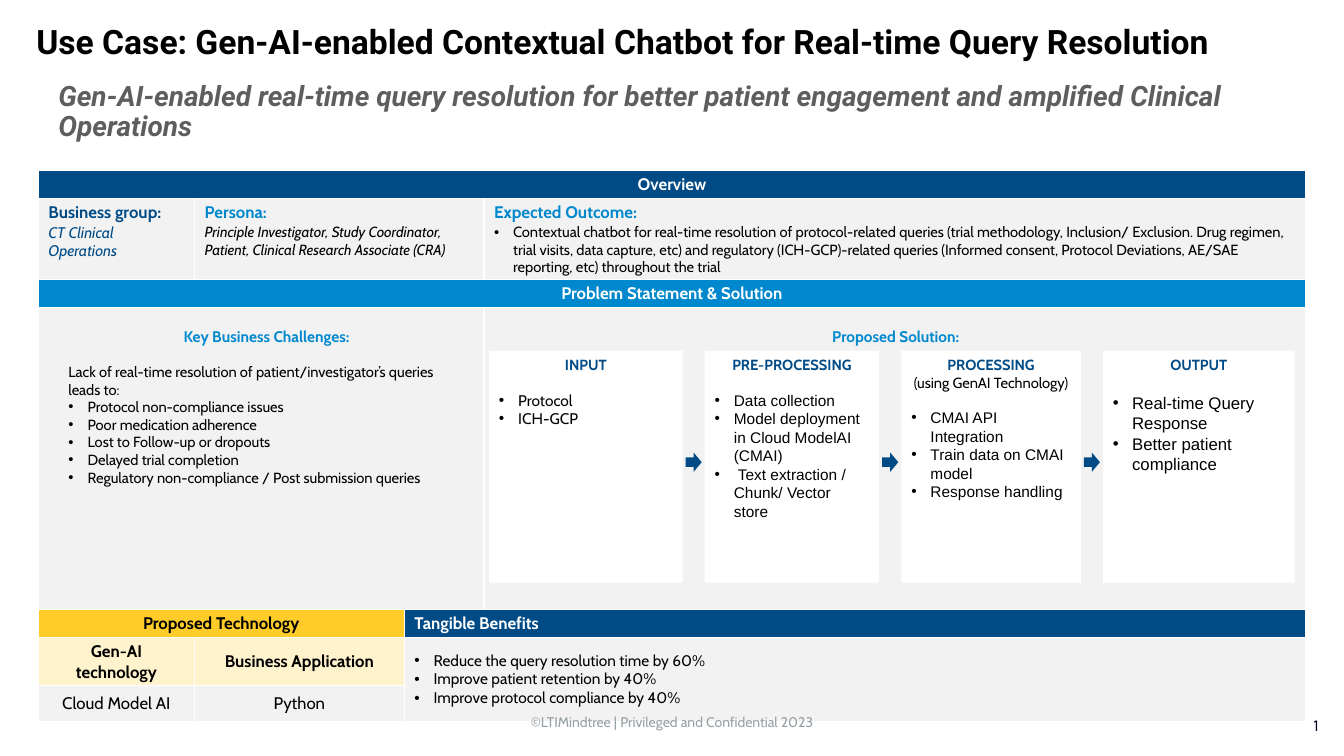
from dataclasses import dataclass

from lxml import etree
from pptx import Presentation
from pptx.dml.color import RGBColor
from pptx.enum import shapes, text
from pptx.oxml import ns
from pptx.util import Inches, Pt

CENTER, RIGHT = text.PP_ALIGN.CENTER, text.PP_ALIGN.RIGHT


@dataclass(frozen=True)
class Box:
    left: float
    top: float
    width: float
    height: float

    def lengths(self):
        return [Inches(n) for n in (self.left, self.top, self.width, self.height)]


@dataclass(frozen=True)
class Style:
    size: float
    color: str = "000000"
    bold: bool = False
    italic: bool = False
    font: str = "Cabin"


class Theme:
    navy, blue, white, gray = "004B86", "0088CE", "FFFFFF", "F2F2F2"
    yellow, cream = "FFCC2A", "FFF3CD"
    title = Style(24, bold=True, font="Roboto")
    subtitle = Style(20, "5E5E5E", True, True, "Roboto")
    banner = Style(12, white, True)
    label = Style(12, bold=True)
    navy_label = Style(12, navy, True)
    blue_label = Style(12, blue, True)
    group = Style(11, navy, italic=True)
    persona = Style(10.5, italic=True)
    section = Style(11, blue, True)
    step = Style(10.5, navy, True)
    body = Style(10.5)
    item = Style(11)
    step_item = Style(11, font="Arial")
    output_item = Style(12, font="Arial")
    value = Style(12)
    footer = Style(10, "97A0A4")
    number = Style(12, "00001E", font="Karla")


def format_font(font, style):
    font.name, font.size = style.font, Pt(style.size)
    font.bold, font.italic = style.bold, style.italic
    font.color.rgb = RGBColor.from_string(style.color)


def add_para(frame, words, style, align=None, bullet=False, before=0, spacing=None):
    """Fill the first paragraph if it is free, otherwise append one."""
    para = frame.paragraphs[0]
    if para.runs:
        para = frame.add_paragraph()
    if bullet:
        props = para._p.get_or_add_pPr()
        props.set("marL", str(Inches(0.19)))
        props.set("indent", str(-Inches(0.19)))
        etree.SubElement(props, ns.qn("a:buFont")).set("typeface", "Arial")
        etree.SubElement(props, ns.qn("a:buChar")).set("char", "•")
    if align is not None:
        para.alignment = align
    if before:
        para.space_before = Pt(before)
    if spacing:
        para.line_spacing = spacing
    span = para.add_run()
    span.text = words
    format_font(span.font, style)
    return para


def add_bullets(frame, items, style, before=0):
    for index, words in enumerate(items):
        add_para(frame, words, style, bullet=True, before=0 if index else before)


def add_textbox(page, box):
    frame = page.shapes.add_textbox(*box.lengths()).text_frame
    frame.word_wrap = True
    return frame


def add_solid(page, kind, box, color):
    shape = page.shapes.add_shape(kind, *box.lengths())
    shape.shadow.inherit = False
    shape.fill.solid()
    shape.fill.fore_color.rgb = RGBColor.from_string(color)
    shape.line.fill.background()
    return shape


def add_heading(page, box):
    # Title placeholder, with the subtitle below it
    title = page.shapes.title
    title.left, title.top, title.width, title.height = Box(box.left, box.top, box.width, 0.49).lengths()
    frame = title.text_frame
    frame.word_wrap, frame.auto_size = True, text.MSO_AUTO_SIZE.NONE
    frame.vertical_anchor = text.MSO_ANCHOR.TOP
    add_para(frame, "Use Case: Gen-AI-enabled Contextual Chatbot for Real-time Query Resolution",
             Theme.title, text.PP_ALIGN.LEFT, spacing=0.9)
    subtitle = add_textbox(page, Box(box.left + 0.22, box.top + 0.57, 12.57, 0.7))
    add_para(subtitle, "Gen-AI-enabled real-time query resolution for better patient engagement "
             "and amplified Clinical Operations", Theme.subtitle, spacing=0.9)


def add_summary_table(page, box):
    table = page.shapes.add_table(7, 4, *box.lengths()).table
    table.first_row = table.horz_banding = False
    for column, width in zip(table.columns, (1.55, 2.08, 0.79, 8.15)):
        column.width = Inches(width)
    for row, height in zip(table.rows, (0.27, 0.8, 0.27, 2.99, 0.27, 0.27, 0.35)):
        row.height = Inches(height)

    def fill_cell(row, col, color, paras=(), align=None, rows=1, cols=1, middle=True):
        cell = table.cell(row, col)
        if rows * cols > 1:
            cell.merge(table.cell(row + rows - 1, col + cols - 1))
        cell.margin_left = cell.margin_right = Inches(0.1)
        cell.margin_top = cell.margin_bottom = Inches(0.04)
        cell.vertical_anchor = text.MSO_ANCHOR.MIDDLE if middle else text.MSO_ANCHOR.TOP
        cell.fill.solid()
        cell.fill.fore_color.rgb = RGBColor.from_string(color)
        for words, style, *bullet in paras:
            add_para(cell.text_frame, words, style, align, bool(bullet))

    # Overview
    fill_cell(0, 0, Theme.navy, [("Overview", Theme.banner)], CENTER, cols=4)
    fill_cell(1, 0, Theme.gray, [("Business group:", Theme.navy_label),
                                 ("CT Clinical Operations", Theme.group)], middle=False)
    fill_cell(1, 1, Theme.gray, [
        ("Persona:", Theme.blue_label),
        ("Principle Investigator, Study Coordinator, Patient, Clinical Research Associate (CRA)",
         Theme.persona)], cols=2, middle=False)
    fill_cell(1, 3, Theme.gray, [
        ("Expected Outcome:", Theme.blue_label),
        ("Contextual chatbot for real-time resolution of protocol-related queries (trial methodology, "
         "Inclusion/ Exclusion. Drug regimen, trial visits, data capture, etc) and regulatory "
         "(ICH-GCP)-related queries (Informed consent, Protocol Deviations, AE/SAE reporting, etc) "
         "throughout the trial", Theme.body, "bullet")], middle=False)
    # Problem and solution backdrop
    fill_cell(2, 0, Theme.blue, [("Problem Statement & Solution", Theme.banner)], CENTER, cols=4)
    fill_cell(3, 0, Theme.gray, cols=3)
    fill_cell(3, 3, Theme.gray)
    # Technology and benefits
    fill_cell(4, 0, Theme.yellow, [("Proposed Technology", Theme.label)], CENTER, cols=2)
    fill_cell(4, 2, Theme.navy, [("Tangible Benefits", Theme.banner)], cols=2)
    technology = [("Gen-AI technology", "Cloud Model AI"), ("Business Application", "Python")]
    for col, (label, value) in enumerate(technology):
        fill_cell(5, col, Theme.cream, [(label, Theme.label)], CENTER)
        fill_cell(6, col, Theme.gray, [(value, Theme.value)], CENTER)
    benefits = ("Reduce the query resolution time by 60%", "Improve patient retention by 40%",
                "Improve protocol compliance by 40%")
    fill_cell(5, 2, Theme.gray, [(words, Theme.item, "bullet") for words in benefits], rows=2, cols=2)


def add_challenges(page, box):
    heading = add_textbox(page, Box(box.left, box.top, box.width, 0.29))
    add_para(heading, "Key Business Challenges:", Theme.section, CENTER)
    frame = add_textbox(page, Box(box.left + 0.1, box.top + 0.35, 3.88, 1.51))
    add_para(frame, "Lack of real-time resolution of patient/investigator’s queries leads to:", Theme.body)
    add_bullets(frame, ("Protocol non-compliance issues", "Poor medication adherence",
                        "Lost to Follow-up or dropouts", "Delayed trial completion",
                        "Regulatory non-compliance / Post submission queries"), Theme.body)


def add_solution(page, box):
    heading = add_textbox(page, Box(box.left, box.top, box.width, 0.29))
    add_para(heading, "Proposed Solution:", Theme.section, CENTER)
    steps = [
        (1.92, "INPUT", None, Theme.item, 12.5, ("Protocol", "ICH-GCP")),
        (1.73, "PRE-PROCESSING", None, Theme.step_item, 12.5,
         ("Data collection", "Model deployment in Cloud ModelAI (CMAI)",
          " Text extraction / Chunk/ Vector store")),
        (1.78, "PROCESSING", "(using GenAI Technology)", Theme.step_item, 12.5,
         ("CMAI API Integration", "Train data on CMAI model", "Response handling")),
        (1.9, "OUTPUT", None, Theme.output_item, 14,
         ("Real-time Query Response", "Better patient compliance")),
    ]
    gap, height, arrow_width, arrow_height = 0.22, 2.3, 0.16, 0.19
    left, top = box.left + 0.04, box.top + 0.28
    for index, (width, name, note, style, before, items) in enumerate(steps):
        card = add_solid(page, shapes.MSO_SHAPE.RECTANGLE, Box(left, top, width, height), Theme.white)
        frame = card.text_frame
        frame.word_wrap, frame.vertical_anchor = True, text.MSO_ANCHOR.TOP
        add_para(frame, name, Theme.step, CENTER)
        if note:
            add_para(frame, note, Theme.body, CENTER)
        add_bullets(frame, items, style, before)
        for para in frame.paragraphs:
            para.alignment = para.alignment or text.PP_ALIGN.LEFT
        left += width + gap
        if index < len(steps) - 1:
            arrow = Box(left - (gap + arrow_width) / 2, top + 1.01, arrow_width, arrow_height)
            add_solid(page, shapes.MSO_SHAPE.RIGHT_ARROW, arrow, Theme.navy)


def add_footer(page, box):
    credit = add_textbox(page, Box(box.left, box.top, 6.67, 0.27))
    add_para(credit, "©LTIMindtree | Privileged and Confidential 2023", Theme.footer, CENTER)
    number = add_textbox(page, Box(box.left + box.width - 0.91, box.top + 0.01, 0.91, 0.35))
    para = add_para(number, "1", Theme.number, RIGHT)
    # Turn the run into a live slide number
    span = para.runs[0]._r
    span.tag = ns.qn("a:fld")
    span.set("id", "{B6F15528-21DE-4FAA-801E-634DDDAF4B2B}")
    span.set("type", "slidenum")


def main():
    deck = Presentation()
    deck.slide_width, deck.slide_height = Inches(13.33), Inches(7.5)
    page = deck.slides.add_slide(deck.slide_layouts[5])
    add_heading(page, Box(0.26, 0.2, 12.91, 1.27))
    add_summary_table(page, Box(0.38, 1.69, 12.57, 5.22))
    add_challenges(page, Box(0.48, 3.2, 4.33, 1.86))
    add_solution(page, Box(4.81, 3.2, 8.15, 2.58))
    add_footer(page, Box(3.33, 7.03, 9.85, 0.36))
    deck.save("out.pptx")


if __name__ == "__main__":
    main()
